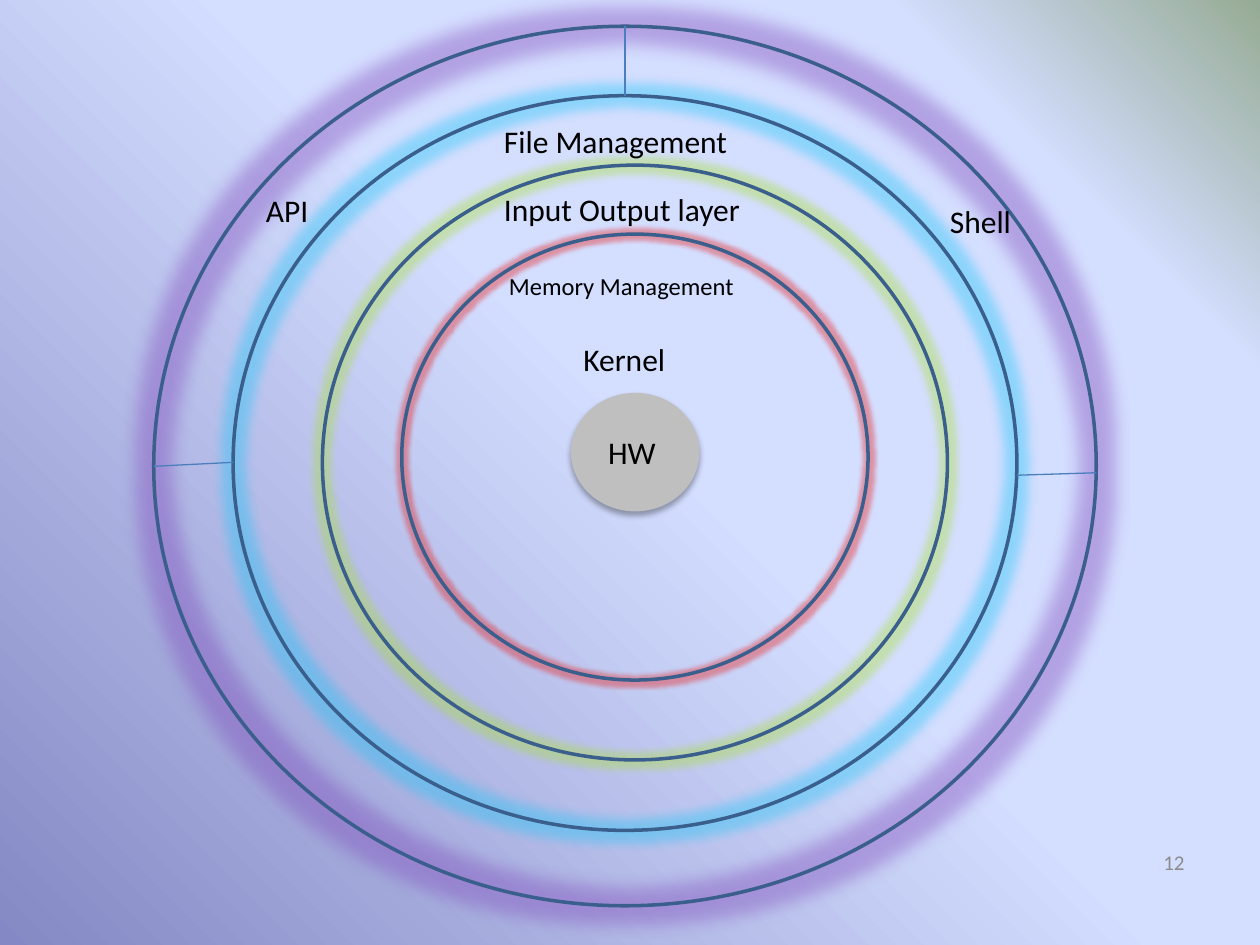
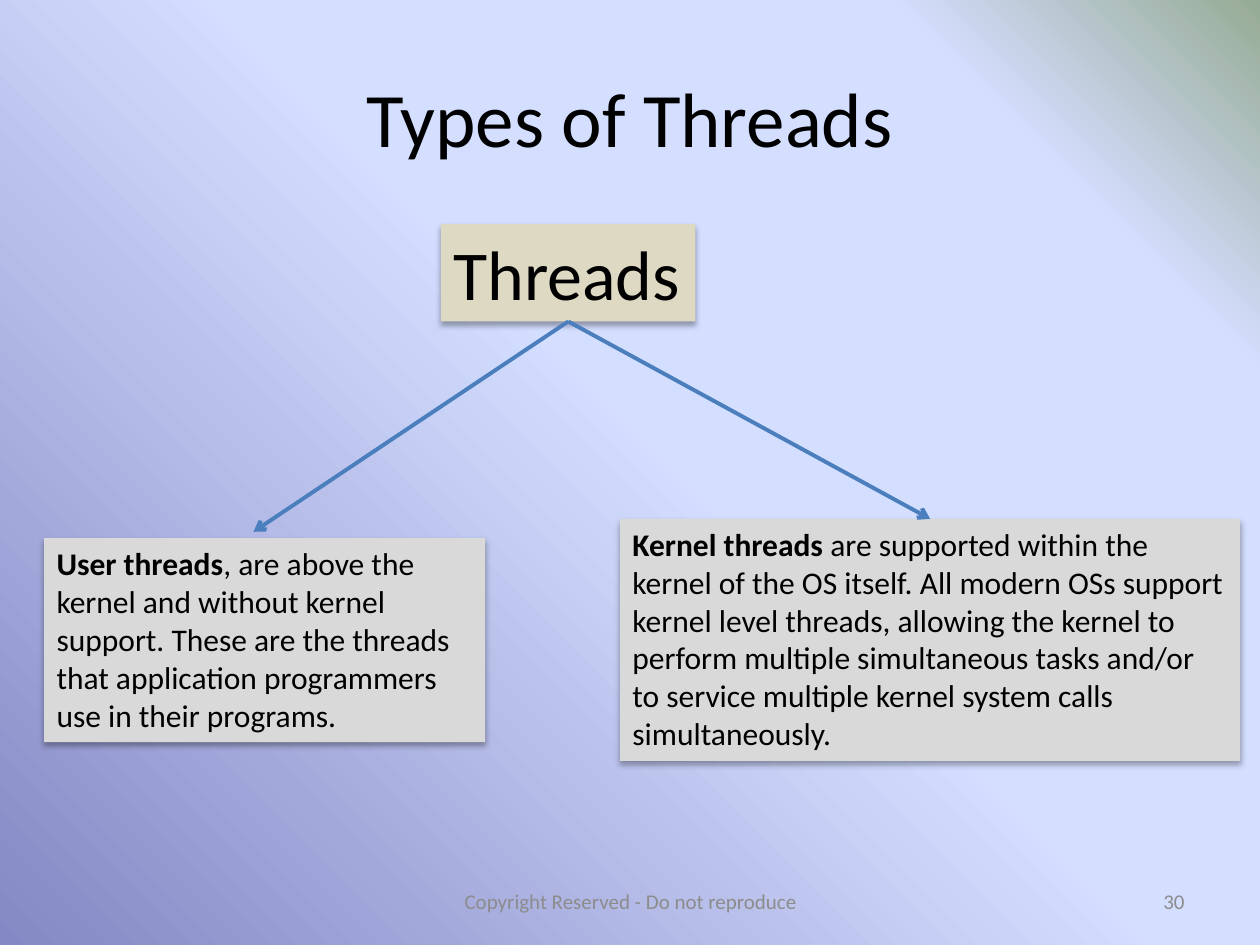
from lxml import etree
from pptx import Presentation
from pptx.dml.color import RGBColor
from pptx.enum.shapes import MSO_CONNECTOR, MSO_SHAPE
from pptx.enum.text import MSO_ANCHOR, MSO_AUTO_SIZE, PP_ALIGN
from pptx.oxml import parse_xml
from pptx.oxml.ns import nsdecls, qn
from pptx.util import Cm, Pt

FONT = "Calibri"
BLACK = RGBColor(0x00, 0x00, 0x00)
MUTED = RGBColor(0x8C, 0x8C, 0x8C)
RING_LINE = RGBColor(0x3A, 0x5F, 0x8C)
CONNECTOR = RGBColor(0x4B, 0x7E, 0xBC)
CORE_GREY = RGBColor(0xBF, 0xBF, 0xBF)
BOX_GREY = RGBColor(0xD9, 0xD9, 0xD9)
TAN = RGBColor(0xDD, 0xD9, 0xC3)
PURPLE = RGBColor(0x7F, 0x48, 0xBB)
SKY = RGBColor(0x20, 0xC5, 0xF7)
LIME = RGBColor(0xAA, 0xDE, 0x39)
RED = RGBColor(0xE8, 0x22, 0x20)

BACKGROUND = [
    (0, RGBColor(0x84, 0x88, 0xC4)),
    (53, RGBColor(0xD4, 0xDE, 0xFF)),
    (83, RGBColor(0xD4, 0xDE, 0xFF)),
    (100, RGBColor(0x96, 0xAB, 0x94)),
]

# left, top, width, height, glow colour, glow radius in points
RINGS = [
    (8.1, 4.72, 9.4, 8.99, RED, 5),
    (6.5, 3.33, 12.6, 11.99, LIME, 8),
    (4.7, 1.93, 15.8, 14.81, SKY, 11),
    (3.1, 0.53, 19, 17.73, PURPLE, 18),
]
CORE = (11.51, 7.92, 2.59, 2.39)
LABELS = [
    ("Kernel", 11.51, 6.73, 2.18, 18),
    ("HW", 12.01, 8.61, 1.47, 18),
    ("Memory Management", 10.01, 5.33, 5.08, 14),
    ("Input Output layer", 9.91, 3.71, 5.33, 18),
    ("File Management", 9.91, 2.34, 5.05, 18),
    ("Shell", 18.9, 3.94, 1.75, 18),
    ("API", 5.11, 3.73, 1.37, 18),
]

TITLE = "Types of Threads"
FOOTER = "Copyright Reserved - Do not reproduce"
ROOT = ("Threads", (8.89, 4.52, 5.13, 1.96))
BRANCHES = [
    ("Kernel threads",
     "\u00a0are supported within the kernel of the OS itself. All modern OSs "
     "support kernel level threads, allowing the kernel to perform multiple "
     "simultaneous tasks and/or to service multiple kernel system calls "
     "simultaneously.",
     (12.5, 10.46, 12.5, 4.88), (18.75, 10.46)),
    ("User threads",
     ", are above the kernel and without kernel support. These are the threads "
     "that application programmers use in their programs.",
     (0.89, 10.85, 8.89, 4.11), (5.11, 10.72)),
]


def cm(*lengths):
    return [Cm(length) for length in lengths]


def add_slide(prs, number, number_top):
    s = prs.slides.add_slide(prs.slide_layouts[6])
    stops = "".join(
        f'<a:gs pos="{pos * 1000}"><a:srgbClr val="{color}"/></a:gs>'
        for pos, color in BACKGROUND)
    bg = parse_xml(
        f'<p:bg {nsdecls("p", "a")}><p:bgPr><a:gradFill rotWithShape="1">'
        f'<a:gsLst>{stops}</a:gsLst><a:lin ang="18900000" scaled="0"/>'
        '</a:gradFill><a:effectLst/></p:bgPr></p:bg>')
    s._element.cSld.insert(0, bg)
    add_text(s, number, (18.21, number_top, 5.92, 1.02), 12, MUTED,
             PP_ALIGN.RIGHT, MSO_ANCHOR.MIDDLE)
    return s


def write(sp, parts, size, color=BLACK, align=PP_ALIGN.LEFT,
          anchor=MSO_ANCHOR.TOP, wrap=True, grow=False):
    tf = sp.text_frame
    tf.word_wrap = wrap
    tf.vertical_anchor = anchor
    tf.auto_size = MSO_AUTO_SIZE.SHAPE_TO_FIT_TEXT if grow else MSO_AUTO_SIZE.NONE
    p = tf.paragraphs[0]
    p.alignment = align
    p.font.name, p.font.size = FONT, Pt(size)
    p.font.color.rgb = color
    for text, bold in parts:
        r = p.add_run()
        r.text = text
        if bold:
            r.font.bold = True


def add_text(s, text, box, size, color=BLACK, align=PP_ALIGN.LEFT,
             anchor=MSO_ANCHOR.TOP, wrap=True, grow=False):
    sp = s.shapes.add_textbox(*cm(*box))
    write(sp, [(text, False)], size, color, align, anchor, wrap, grow)


def add_effect(sp, xml):
    sp.shadow.inherit = False
    sp._element.spPr.find(qn("a:effectLst")).append(parse_xml(xml))


def add_raised(s, kind, box, fill):
    sp = s.shapes.add_shape(kind, *cm(*box))
    sp.fill.solid()
    sp.fill.fore_color.rgb = fill
    sp.line.fill.background()
    add_effect(sp, f'<a:outerShdw {nsdecls("a")} blurRad="{Pt(3.5)}" '
                   f'dist="{Pt(2.2)}" dir="5400000" rotWithShape="0">'
                   '<a:srgbClr val="000000"><a:alpha val="32000"/></a:srgbClr>'
                   '</a:outerShdw>')
    return sp


def add_ring(s, left, top, width, height, glow, radius):
    sp = s.shapes.add_shape(MSO_SHAPE.OVAL, *cm(left, top, width, height))
    sp.fill.background()
    sp.line.color.rgb = RING_LINE
    sp.line.width = Pt(2)
    add_effect(sp, f'<a:glow {nsdecls("a")} rad="{Pt(radius)}">'
                   f'<a:srgbClr val="{glow}"><a:alpha val="40000"/></a:srgbClr>'
                   '</a:glow>')


def add_line(s, start, end, width, arrow=False):
    c = s.shapes.add_connector(MSO_CONNECTOR.STRAIGHT, *cm(*start, *end))
    c.line.color.rgb = CONNECTOR
    c.line.width = Pt(width)
    spPr = c._element.spPr
    if arrow:
        etree.SubElement(spPr.find(qn("a:ln")), qn("a:tailEnd"), type="arrow")
    etree.SubElement(spPr, qn("a:effectLst"))


def build_layers(prs):
    s = add_slide(prs, "12", 16.87)
    add_raised(s, MSO_SHAPE.OVAL, CORE, CORE_GREY)
    for ring in RINGS:
        add_ring(s, *ring)
    for text, left, top, width, size in LABELS:
        height = 1.02 if size == 18 else 0.86
        add_text(s, text, (left, top, width, height), size, wrap=False, grow=True)
    (in_left, in_top, in_width, *_), (left, top, width, *_) = RINGS[-2:]
    middle = left + width / 2
    add_line(s, (middle, top), (middle, in_top), 0.75)
    add_line(s, (left, 9.4), (in_left, 9.32), 0.75)
    add_line(s, (in_left + in_width, 9.58), (left + width, 9.53), 0.75)


def build_threads(prs):
    s = add_slide(prs, "30", 17.65)
    add_text(s, TITLE, (1.27, 0.76, 22.86, 3.18), 44,
             align=PP_ALIGN.CENTER, anchor=MSO_ANCHOR.MIDDLE)
    add_text(s, FOOTER, (8.69, 17.65, 8.05, 1.02), 12, MUTED,
             PP_ALIGN.CENTER, MSO_ANCHOR.MIDDLE)
    name, box = ROOT
    sp = add_raised(s, MSO_SHAPE.RECTANGLE, box, TAN)
    write(sp, [(name, False)], 40, wrap=False, grow=True)
    left, top, width, height = box
    for term, meaning, area, tip in BRANCHES:
        sp = add_raised(s, MSO_SHAPE.RECTANGLE, area, BOX_GREY)
        write(sp, [(term, True), (meaning, False)], 18, grow=True)
        add_line(s, (left + width / 2, top + height), tip, 2.25, arrow=True)


prs = Presentation()
prs.slide_width, prs.slide_height = cm(25.4, 19.05)
build_layers(prs)
build_threads(prs)
prs.save("out.pptx")
